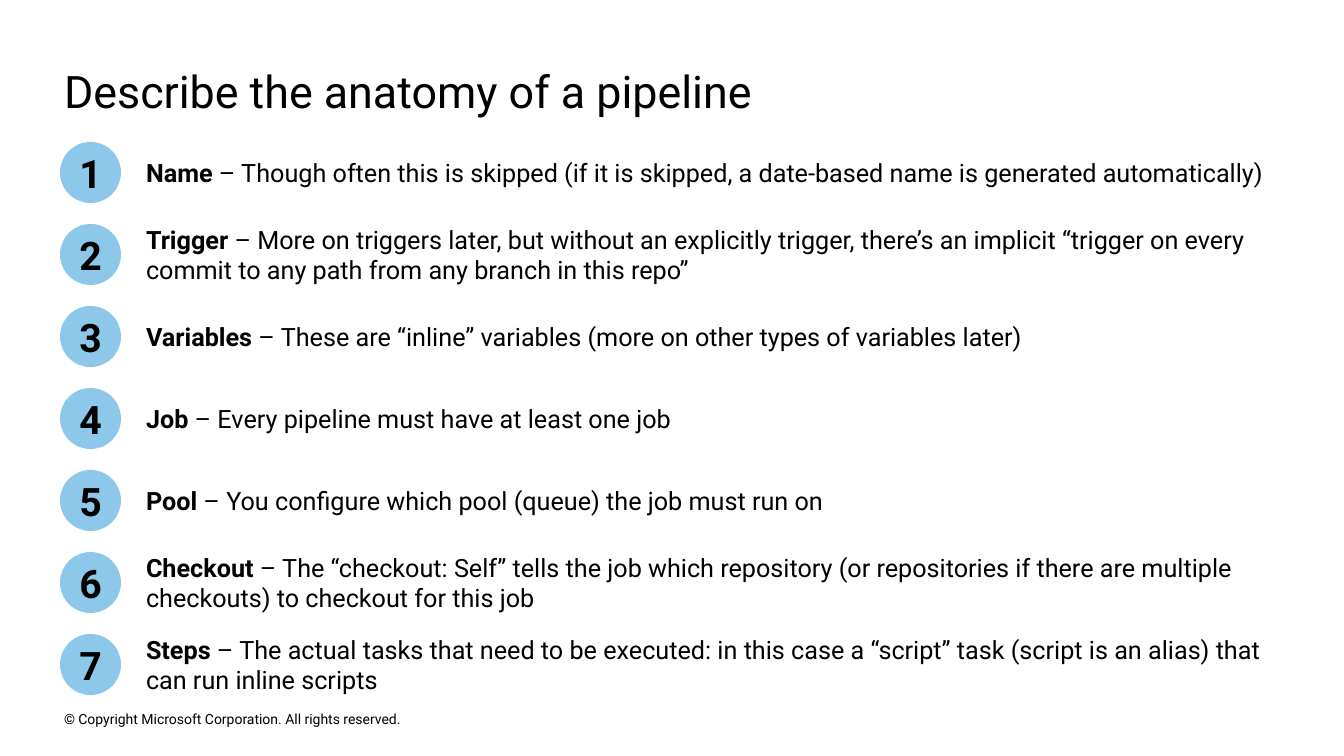
import pptx
import pptx.util
import pptx.dml.color
import pptx.enum.shapes
import pptx.enum.text

TITLE = "Describe the anatomy of a pipeline"
PARTS = [
    ("Name", "Though often this is skipped (if it is skipped, a date-based name is generated automatically)"),
    ("Trigger", "More on triggers later, but without an explicitly trigger, there’s an implicit “trigger on every commit to any path from any branch in this repo”"),
    ("Variables", "These are “inline” variables (more on other types of variables later)"),
    ("Job", "Every pipeline must have at least one job"),
    ("Pool", "You configure which pool (queue) the job must run on"),
    ("Checkout", "The “checkout: Self” tells the job which repository (or repositories if there are multiple checkouts) to checkout for this job"),
    ("Steps", "The actual tasks that need to be executed: in this case a “script” task (script is an alias) that can run inline scripts"),
]
COPYRIGHT = "© Copyright Microsoft Corporation. All rights reserved."

COLORS = {"text": "000000", "circle": "8DC8EB"}
FONT = "Roboto"
EMU_PER_PX = 914400 / 100.8

SLIDE_SIZE = (1344, 756)
TITLE_BOX = (64, 64, 1214, 54)
COPYRIGHT_BOX = (64, 708, 458, 22)
CIRCLE_LEFT, CIRCLE_SIZE = 60, 61
TEXT_LEFT, TEXT_WIDTH = 146, 1152
FIRST_TOP, ROW_PITCH = 142, 82

ANCHOR = pptx.enum.text.MSO_ANCHOR
ALIGN = pptx.enum.text.PP_ALIGN


def emu(*lengths):
    return [round(length * EMU_PER_PX) for length in lengths]


def color(name):
    return pptx.dml.color.RGBColor.from_string(COLORS[name])


def format_text(shape, size, anchor=ANCHOR.MIDDLE, align=ALIGN.LEFT, bold=None):
    frame = shape.text_frame
    frame.word_wrap = True
    frame.auto_size = pptx.enum.text.MSO_AUTO_SIZE.NONE
    frame.vertical_anchor = anchor
    frame.margin_left = frame.margin_top = frame.margin_right = frame.margin_bottom = 0
    paragraph = frame.paragraphs[0]
    paragraph.alignment = align
    paragraph.font.name = FONT
    paragraph.font.size = pptx.util.Pt(size)
    paragraph.font.bold = bold
    paragraph.font.color.rgb = color("text")


def add_title(slide):
    title = slide.shapes.title
    title.left, title.top, title.width, title.height = emu(*TITLE_BOX)
    title.text_frame.text = TITLE
    format_text(title, 32, ANCHOR.TOP)


def add_part(slide, number, name, description):
    top = FIRST_TOP + (number - 1) * ROW_PITCH
    circle = slide.shapes.add_shape(
        pptx.enum.shapes.MSO_SHAPE.OVAL, *emu(CIRCLE_LEFT, top, CIRCLE_SIZE, CIRCLE_SIZE)
    )
    circle.shadow.inherit = False
    circle.fill.solid()
    circle.fill.fore_color.rgb = color("circle")
    circle.line.fill.background()
    circle.text_frame.text = str(number)
    format_text(circle, 28, align=ALIGN.CENTER, bold=True)

    box = slide.shapes.add_textbox(*emu(TEXT_LEFT, top, TEXT_WIDTH, CIRCLE_SIZE))
    paragraph = box.text_frame.paragraphs[0]
    for text, bold in ((name, True), (f" – {description}", False)):
        run = paragraph.add_run()
        run.text = text
        run.font.bold = bold
    format_text(box, 18)


def add_copyright(slide):
    box = slide.shapes.add_textbox(*emu(*COPYRIGHT_BOX))
    box.text_frame.text = COPYRIGHT
    format_text(box, 10)


def main():
    presentation = pptx.Presentation()
    presentation.slide_width, presentation.slide_height = emu(*SLIDE_SIZE)
    slide = presentation.slides.add_slide(presentation.slide_layouts[5])
    add_title(slide)
    for number, (name, description) in enumerate(PARTS, 1):
        add_part(slide, number, name, description)
    add_copyright(slide)
    presentation.save("out.pptx")


if __name__ == "__main__":
    main()
